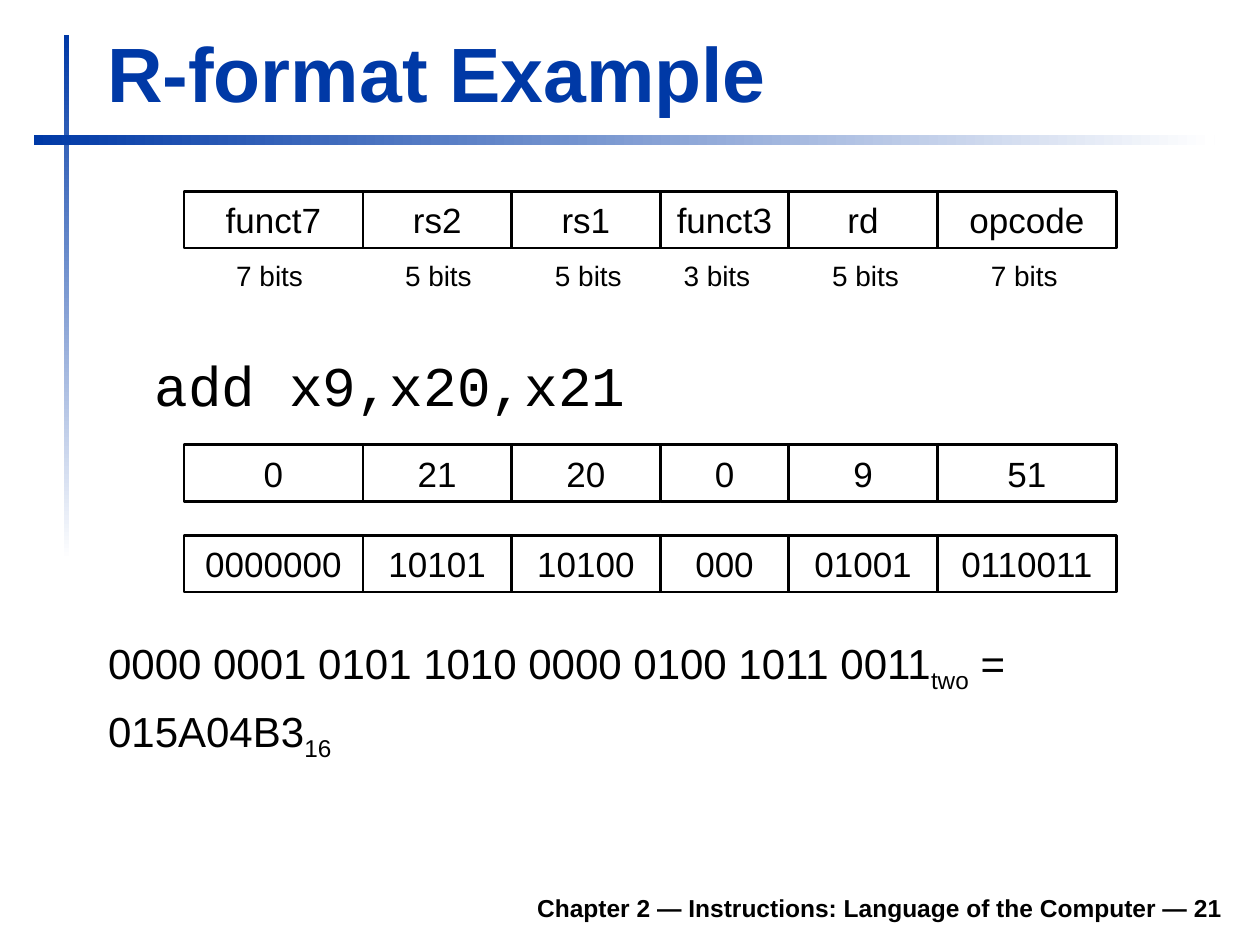
from pptx import Presentation
from pptx.dml.color import RGBColor
from pptx.enum.shapes import MSO_SHAPE
from pptx.enum.text import MSO_ANCHOR, PP_ALIGN
from pptx.util import Inches, Pt

BLUE, BLACK, WHITE = "0039A6", "000000", "FFFFFF"
TITLE = "R-format Example"
FOOTER = "Chapter 2 — Instructions: Language of the Computer — 21"
INSTRUCTION = "add x9,x20,x21"
WIDTHS = [1.42, 1.18, 1.18, 1.02, 1.18, 1.42]
FIELDS = ["funct7", "rs2", "rs1", "funct3", "rd", "opcode"]
BITS = [("7 bits", 1.77), ("5 bits", 3.11), ("5 bits", 4.3),
        ("3 bits", 5.32), ("5 bits", 6.5), ("7 bits", 7.76)]
ENCODINGS = [
    (3.53, ["0", "21", "20", "0", "9", "51"]),
    (4.25, ["0000000", "10101", "10100", "000", "01001", "0110011"]),
]
RESULT = [
    [("0000 0001 0101 1010 0000 0100 1011 0011", False), ("two", True), (" =", False)],
    [("015A04B3", False), ("16", True)],
]
BARS = [((0.51, 0.28, 0.04, 4.17), 270), ((0.27, 1.07, 9.37, 0.08), 0)]
ROW_LEFT, ROW_HEIGHT = 1.46, 0.45


def rgb(color):
    return RGBColor.from_string(color)


def add_run(p, text, size, color=BLACK, font="Arial", bold=False, sub=False):
    r = p.add_run()
    r.text = text
    r.font.size = Pt(size)
    r.font.name = font
    r.font.bold = bold
    r.font.color.rgb = rgb(color)
    if sub:
        r._r.get_or_add_rPr().set("baseline", "-25000")


def add_box(shapes, box, wrap=True):
    tf = shapes.add_textbox(*map(Inches, box)).text_frame
    tf.word_wrap = wrap
    return tf


def add_rect(shapes, box):
    sp = shapes.add_shape(MSO_SHAPE.RECTANGLE, *map(Inches, box))
    sp.shadow.inherit = False
    return sp


def add_row(shapes, top, values):
    left = ROW_LEFT
    for value, width in zip(values, WIDTHS):
        sp = add_rect(shapes, (left, top, width, ROW_HEIGHT))
        sp.fill.background()
        sp.line.color.rgb = rgb(BLACK)
        sp.line.width = Pt(1.5)
        sp.text_frame.word_wrap = True
        p = sp.text_frame.paragraphs[0]
        p.alignment = PP_ALIGN.CENTER
        add_run(p, value, 20)
        left += width


prs = Presentation()
prs.slide_width, prs.slide_height = Inches(10), Inches(7.5)
s = prs.slides.add_slide(prs.slide_layouts[5])

for box, angle in BARS:
    sp = add_rect(s.shapes, box)
    sp.line.fill.background()
    sp.fill.gradient()
    sp.fill.gradient_angle = angle
    for stop, position, color in zip(sp.fill.gradient_stops, (0, 1), (BLUE, WHITE)):
        stop.position = position
        stop.color.rgb = rgb(color)

title = s.shapes.title
title.left, title.top, title.width, title.height = map(Inches, (0.75, 0.16, 9.03, 0.83))
title.text_frame.vertical_anchor = MSO_ANCHOR.BOTTOM
p = title.text_frame.paragraphs[0]
p.alignment = PP_ALIGN.LEFT
add_run(p, TITLE, 44, BLUE, bold=True)

tf = add_box(s.shapes, (1.85, 6.98, 7.95, 0.39))
tf.vertical_anchor = MSO_ANCHOR.BOTTOM
p = tf.paragraphs[0]
p.alignment = PP_ALIGN.RIGHT
add_run(p, FOOTER, 14, bold=True)

p = add_box(s.shapes, (0.75, 2.73, 9.05, 0.71)).paragraphs[0]
p.space_before = Pt(6.4)
p._p.get_or_add_pPr().set("marL", str(Inches(0.38)))
add_run(p, INSTRUCTION, 32, font="Courier New")

tf = add_box(s.shapes, (0.76, 5.01, 7.94, 1.55))
for i, runs in enumerate(RESULT):
    p = tf.add_paragraph() if i else tf.paragraphs[0]
    p.space_before = Pt(6)
    for text, sub in runs:
        add_run(p, text, 24, sub=sub)

layout = s.shapes.add_group_shape().shapes
add_row(layout, 1.52, FIELDS)
for label, left in BITS:
    p = add_box(layout, (left, 2, 0.74, 0.37), wrap=False).paragraphs[0]
    p.alignment = PP_ALIGN.CENTER
    add_run(p, label, 16)

for top, values in ENCODINGS:
    add_row(s.shapes, top, values)

prs.save("out.pptx")
